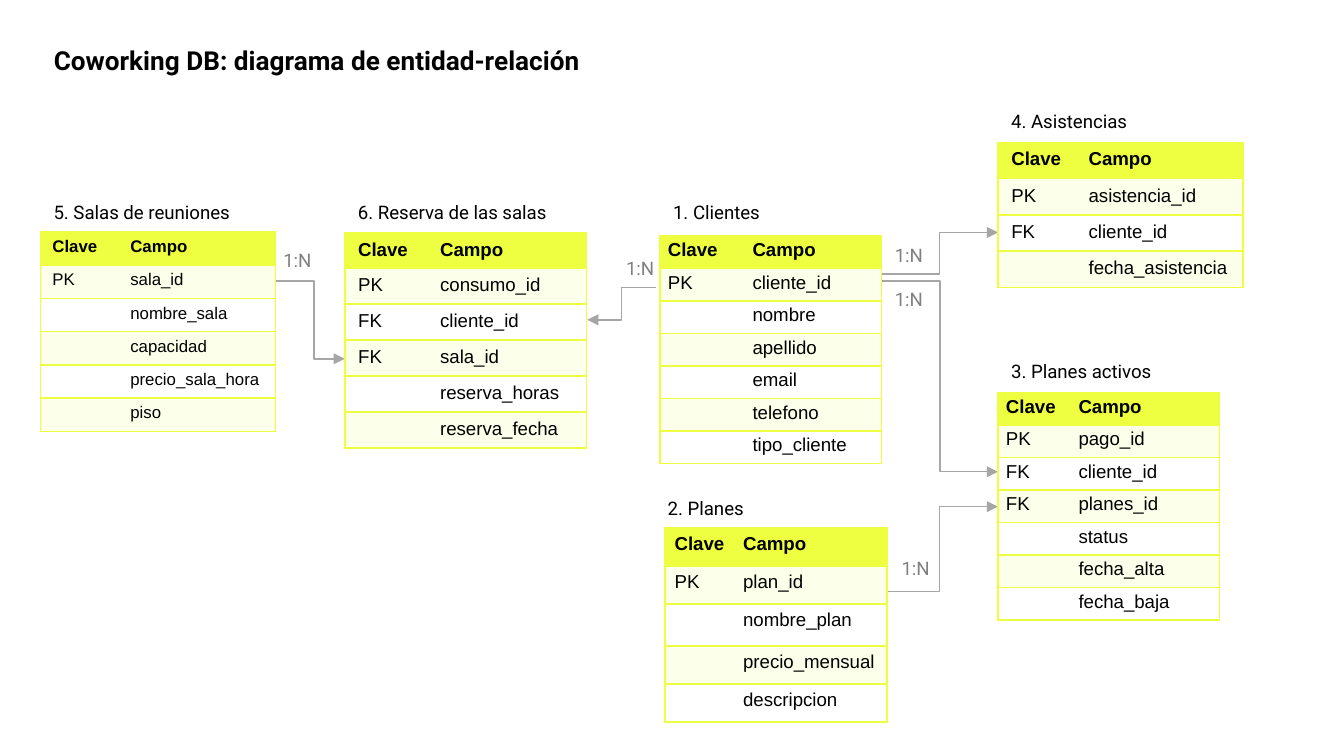
from lxml.etree import SubElement as Sub
from pptx import Presentation
from pptx.dml.color import RGBColor
from pptx.enum.shapes import MSO_CONNECTOR as Conn
from pptx.enum.text import MSO_ANCHOR as Anchor, MSO_AUTO_SIZE as Fit, PP_ALIGN as Align
from pptx.oxml import parse_xml
from pptx.oxml.ns import nsdecls, qn
from pptx.util import Inches, Pt

COLS = 100
ROWS = COLS * 9 / 16  # square grid units on a 16:9 slide


def rgb(code):
    return RGBColor.from_string(code)


class Board:
    lime, pale, white = "EEFF41", "FCFFE9", "FFFFFF"
    black, gray, wire = "000000", "808080", "A6A6A6"
    head, body = "Roboto", "Arial"

    def __init__(self, deck):
        self.wide, self.high = deck.slide_width, deck.slide_height
        self.slide = deck.slides.add_slide(deck.slide_layouts[5])

    def x(self, cols):
        return round(self.wide * cols / COLS)

    def y(self, rows):
        return round(self.high * rows / ROWS)

    def box(self, left, top, wide, high):
        return self.x(left), self.y(top), self.x(wide), self.y(high)

    def style(self, para, font, size, color, bold=False):
        para.alignment = Align.LEFT
        for run in para.runs:
            run.font.name, run.font.size, run.font.bold = font, Pt(size), bold
            run.font.color.rgb = rgb(color)

    def title(self, text, *area):
        shape = self.slide.shapes.title
        shape.left, shape.top, shape.width, shape.height = self.box(*area)
        frame = shape.text_frame
        frame.text = text
        frame.auto_size, frame.vertical_anchor = Fit.NONE, Anchor.MIDDLE
        self.style(frame.paragraphs[0], self.head, 14, self.black, True)

    def label(self, text, left, top, wide, color=black):
        shape = self.slide.shapes.add_textbox(*self.box(left, top, wide, 3.7))
        frame = shape.text_frame
        frame.word_wrap, frame.auto_size = True, Fit.SHAPE_TO_FIT_TEXT
        frame.margin_left = frame.margin_right = Inches(0.1)
        frame.margin_top = frame.margin_bottom = Inches(0.1)
        frame.text = text
        self.style(frame.paragraphs[0], self.head, 10, color)

    def link(self, x1, y1, x2, y2, bend=0.5):
        line = self.slide.shapes.add_connector(
            Conn.ELBOW, self.x(x1), self.y(y1), self.x(x2), self.y(y2))
        line.line.color.rgb, line.line.width = rgb(self.wire), Pt(0.75)
        props = line._element.spPr
        geom = props.find(qn("a:prstGeom"))
        for old in geom.findall(qn("a:avLst")):
            geom.remove(old)
        guide = Sub(Sub(geom, qn("a:avLst")), qn("a:gd"))
        guide.set("name", "adj1")
        guide.set("fmla", f"val {round(bend * 100000)}")
        Sub(props.find(qn("a:ln")), qn("a:tailEnd")).set("type", "triangle")
        Sub(props, qn("a:effectLst"))

    def edge(self, cell, sides):
        props = cell._tc.get_or_add_tcPr()
        for spot, side in enumerate("LRTB"):
            ink = (f'<a:solidFill><a:srgbClr val="{self.lime}"/></a:solidFill>'
                   if side in sides else "<a:noFill/>")
            props.insert(spot, parse_xml(
                f'<a:ln{side} {nsdecls("a")} w="12700">{ink}</a:ln{side}>'))

    def entity(self, left, top, cols, rows, fields, pad=(0.1, 0.05), size=10):
        data = [("Clave", "Campo")] + fields
        grid = self.slide.shapes.add_table(
            len(data), 2, *self.box(left, top, sum(cols), sum(rows))).table
        grid.first_row = grid.horz_banding = False
        for col, wide in zip(grid.columns, cols):
            col.width = self.x(wide)
        for i, (row, high, texts) in enumerate(zip(grid.rows, rows, data)):
            row.height = self.y(high)
            tint = self.lime if i == 0 else self.pale if i % 2 else self.white
            for cell, text, sides in zip(row.cells, texts, ("LTB", "RTB")):
                cell.margin_left = cell.margin_right = Inches(pad[0])
                cell.margin_top = cell.margin_bottom = Inches(pad[1])
                cell.fill.solid()
                cell.fill.fore_color.rgb = rgb(tint)
                self.edge(cell, sides)
                para = cell.text_frame.paragraphs[0]
                if text:
                    para.text = text
                    self.style(para, self.body, size, self.black, i == 0)
                else:  # keeps an empty cell from stretching its row
                    Sub(para._p, qn("a:endParaRPr")).set("sz", str(size * 100))


def main():
    deck = Presentation()
    deck.slide_width = Inches(10)
    deck.slide_height = deck.slide_width * 9 // 16
    board = Board(deck)
    board.title("Coworking DB: diagrama de entidad-relación", 3, 2.8, 50, 3.4)

    # Relations
    for ends in ((18.9, 20.9, 25.65, 26.7, 0.66), (57.7, 20.9, 74.25, 35.1, 0.74),
                 (65.6, 44, 74.25, 37.7), (65.6, 20.4, 74.25, 17.3),
                 (48.8, 21.4, 43.7, 23.8)):
        board.link(*ends)

    # Entities
    tight = (0.06, 0.03)
    board.entity(49.1, 17.55, (6.3, 10.2), [2.42] * 7, [
        ("PK", "cliente_id"), ("", "nombre"), ("", "apellido"), ("", "email"),
        ("", "telefono"), ("", "tipo_cliente")], tight)
    board.entity(49.5, 39.3, (5.1, 11.4), (2.83, 2.83, 3.12, 2.83, 2.83), [
        ("PK", "plan_id"), ("", "nombre_plan"), ("", "precio_mensual"),
        ("", "descripcion")], (0.07, 0.04))
    board.entity(74.25, 29.2, (5.4, 11.1), [2.42] * 7, [
        ("PK", "pago_id"), ("FK", "cliente_id"), ("FK", "planes_id"),
        ("", "status"), ("", "fecha_alta"), ("", "fecha_baja")], tight)
    board.entity(74.25, 10.6, (5.75, 12.5), [2.7] * 4, [
        ("PK", "asistencia_id"), ("FK", "cliente_id"), ("", "fecha_asistencia")])
    board.entity(3, 17.25, (5.8, 11.7), [2.48] * 6, [
        ("PK", "sala_id"), ("", "nombre_sala"), ("", "capacidad"),
        ("", "precio_sala_hora"), ("", "piso")], (0.09, 0.04), 9)
    board.entity(25.65, 17.3, (6.1, 11.9), [2.67] * 6, [
        ("PK", "consumo_id"), ("FK", "cliente_id"), ("FK", "sala_id"),
        ("", "reserva_horas"), ("", "reserva_fecha")])

    # Entity names
    for text, left, top, wide in (
            ("1. Clientes", 49.1, 14.1, 13.4), ("2. Planes", 48.7, 36.1, 13.4),
            ("3. Planes activos", 74.25, 25.9, 13.4),
            ("4. Asistencias", 74.25, 7.35, 13.4),
            ("5. Salas de reuniones", 3, 14.1, 15.9),
            ("6. Reserva de las salas", 25.65, 14.1, 16.4)):
        board.label(text, left, top, wide)

    # Cardinalities
    for left, top in ((65.6, 20.6), (66.1, 40.6), (65.6, 17.3), (45.6, 18.3),
                      (20.1, 17.7)):
        board.label("1:N", left, top, 4.7, board.gray)

    deck.save("out.pptx")


if __name__ == "__main__":
    main()
